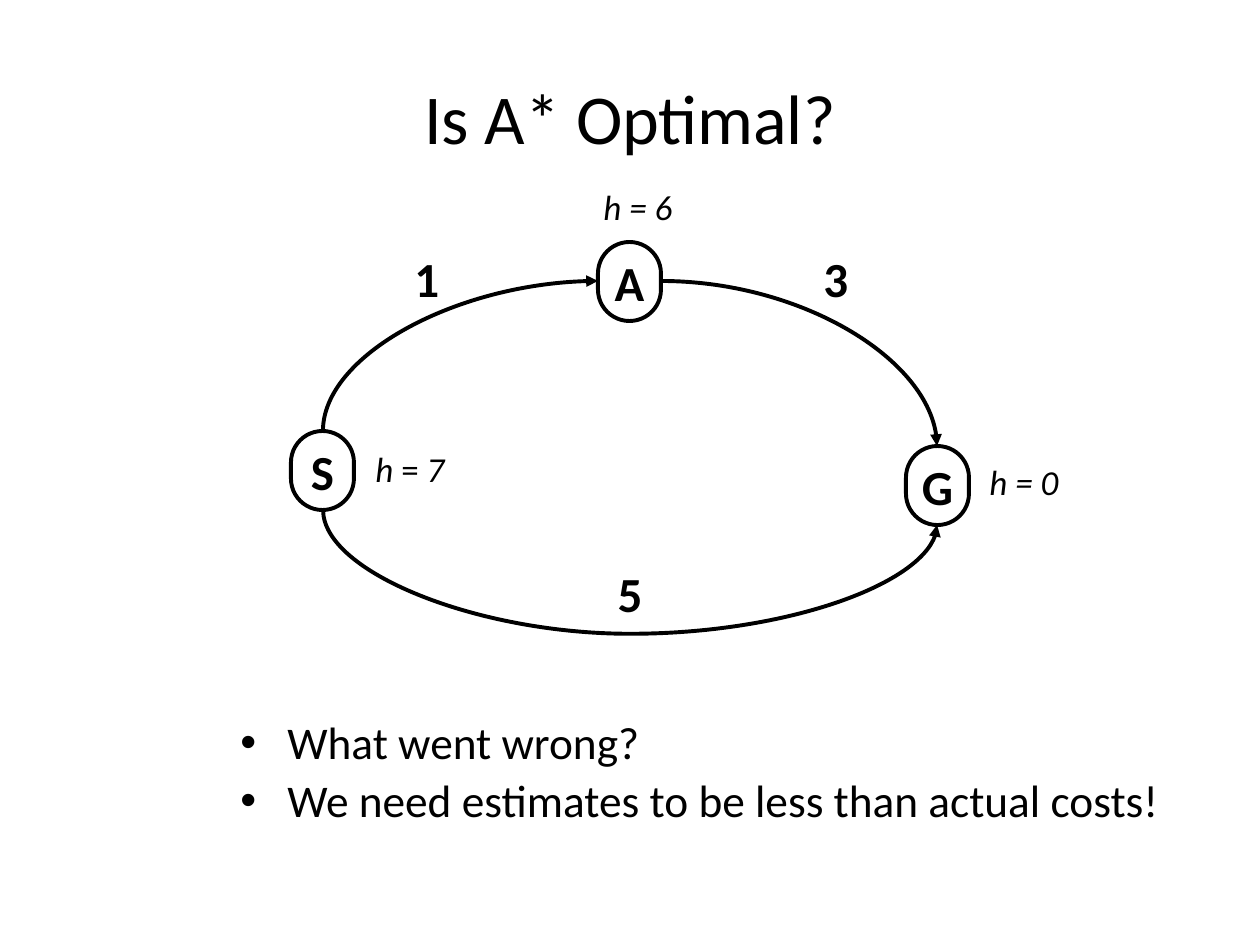
"""Build the slide "Is A* Optimal?": a search graph with edge costs and heuristics."""
from lxml import etree
from pptx import Presentation, util as u
from pptx.enum import shapes, text
from pptx.oxml import ns

PX = 914400 / 126
COLOURS = {"ink": "000000"}
INK = ns.nsdecls("a")
NODE_WIDTH, NODE_HEIGHT = 63, 79


def px(*lengths):
    return [u.Emu(round(length * PX)) for length in lengths]


def style(paragraph, size, bold=False, italic=False, align=text.PP_ALIGN.LEFT):
    paragraph.alignment = align
    font = paragraph.font
    font.name, font.size, font.bold, font.italic = "Calibri", u.Pt(size), bold, italic
    font.color.rgb = ink


from pptx.dml import color

ink = color.RGBColor.from_string(COLOURS["ink"])
presentation = Presentation()
presentation.slide_width, presentation.slide_height = px(1260, 945)
slide = presentation.slides.add_slide(presentation.slide_layouts[5])

title = slide.shapes.title
title.left, title.top, title.width, title.height = px(63, 38, 1134, 158)
title.text_frame.text = "Is A* Optimal?"
title.text_frame.vertical_anchor = text.MSO_ANCHOR.MIDDLE
style(title.text_frame.paragraphs[0], 40, align=text.PP_ALIGN.CENTER)

body = slide.shapes.add_textbox(*px(228, 714, 989, 130)).text_frame
body.word_wrap = True
body.text = "What went wrong?\nWe need estimates to be less than actual costs!"
for index, paragraph in enumerate(body.paragraphs):
    properties = paragraph._p.get_or_add_pPr()
    properties.set("marL", str(px(47)[0]))
    properties.set("indent", str(px(-47)[0]))
    etree.SubElement(properties, ns.qn("a:buFont")).set("typeface", "Arial")
    etree.SubElement(properties, ns.qn("a:buChar")).set("char", "•")
    paragraph.line_spacing = 0.9
    paragraph.space_before = u.Pt(5 * index)
    style(paragraph, 25.9)

for name, left, top in [("A", 598, 242), ("G", 906, 446), ("S", 291, 431)]:
    node = slide.shapes.add_shape(
        shapes.MSO_SHAPE.ROUNDED_RECTANGLE, *px(left, top, NODE_WIDTH, NODE_HEIGHT))
    node.adjustments[0] = 0.5
    node.shadow.inherit = False
    node.fill.background()
    node.line.color.rgb = ink
    node.line.width = u.Pt(2.25)
    node.text_frame.text = name
    node.text_frame.word_wrap = False
    node.text_frame.vertical_anchor = text.MSO_ANCHOR.MIDDLE
    style(node.text_frame.paragraphs[0], 28, bold=True, align=text.PP_ALIGN.CENTER)

for cost, left, top, width, align in [
    ("1", 402, 242, 48, text.PP_ALIGN.LEFT),
    ("3", 811, 242, 48, text.PP_ALIGN.LEFT),
    ("5", 0, 557, 1260, text.PP_ALIGN.CENTER),
]:
    label = slide.shapes.add_textbox(*px(left, top, width, 72)).text_frame
    label.text = cost
    style(label.paragraphs[0], 28, bold=True, align=align)

for parts, left, top, width in [
    (["h = 6"], 591, 179, 95),
    (["h = 0"], 977, 454, 95),
    (["h", " = ", "7"], 363, 441, 100),
]:
    label = slide.shapes.add_textbox(*px(left, top, width, 55)).text_frame
    paragraph = label.paragraphs[0]
    style(paragraph, 20, italic=True)
    for part in parts:
        run = paragraph.add_run()
        run.text = part
        if part == " = ":
            run.font.italic = False

for start, end, preset, rotation, flips, dip in [
    ((323, 510), (937, 525), "curvedConnector3", 270, ["flipH"], 124),
    ((323, 431), (598, 281), "curvedConnector2", 90, ["flipH", "flipV"], 0),
    ((661, 281), (937, 446), "curvedConnector2", 0, [], 0),
]:
    width, height = abs(end[0] - start[0]), abs(end[1] - start[1])
    if rotation:
        width, height = height, width
    left = (start[0] + end[0] - width) / 2
    top = (start[1] + end[1] - height) / 2
    edge = slide.shapes.add_connector(
        shapes.MSO_CONNECTOR.CURVE, *px(left, top, left + width, top + height))
    edge.line.color.rgb = ink
    edge.line.width = u.Pt(2.25)
    properties = edge._element.spPr
    frame = properties.find(ns.qn("a:xfrm"))
    frame.set("rot", str(rotation * 60000))
    for flip in flips:
        frame.set(flip, "1")
    geometry = properties.find(ns.qn("a:prstGeom"))
    geometry.set("prst", preset)
    if dip:
        guide = etree.SubElement(geometry.find(ns.qn("a:avLst")), ns.qn("a:gd"))
        guide.set("name", "adj1")
        guide.set("fmla", f"val {round(dip / width * 100000)}")
    arrow = etree.SubElement(properties.find(ns.qn("a:ln")), ns.qn("a:tailEnd"))
    arrow.set("type", "triangle")
    etree.SubElement(properties, ns.qn("a:effectLst"))

presentation.save("out.pptx")
